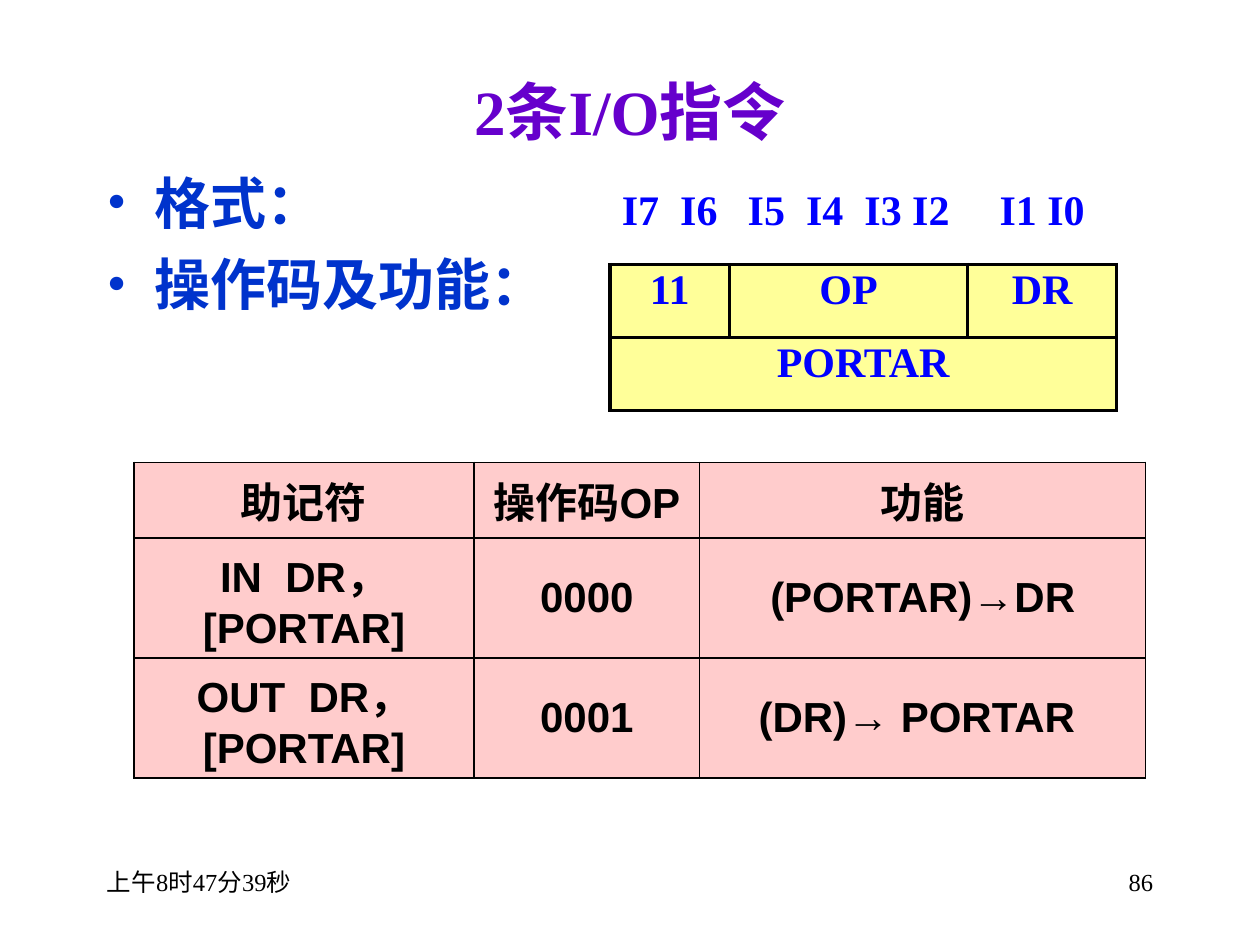
from lxml import etree
from pptx import Presentation
from pptx.dml.color import RGBColor
from pptx.enum.text import MSO_ANCHOR, PP_ALIGN
from pptx.oxml.ns import qn
from pptx.util import Pt

LEFT, CENTER, RIGHT = PP_ALIGN.LEFT, PP_ALIGN.CENTER, PP_ALIGN.RIGHT
TOP, MIDDLE = MSO_ANCHOR.TOP, MSO_ANCHOR.MIDDLE

BLACK = RGBColor(0x00, 0x00, 0x00)
PURPLE = RGBColor(0x66, 0x00, 0xCC)
BLUE = RGBColor(0x00, 0x33, 0xCC)
BRIGHT_BLUE = RGBColor(0x00, 0x00, 0xFF)
YELLOW = RGBColor(0xFF, 0xFF, 0x99)
PINK = RGBColor(0xFF, 0xCC, 0xCC)

SERIF, SANS = "Times New Roman", "Arial"
HANGING = 27


class SlideBuilder:
    def __init__(self, slide):
        self.slide = slide

    def format(self, paragraph, size, color, font=SERIF, bold=True, align=LEFT):
        paragraph.alignment = align
        for run in paragraph.runs:
            run.font.size = Pt(size)
            run.font.name = font
            run.font.bold = bold
            run.font.color.rgb = color

    def hang(self, paragraph, bullet=None):
        """Give a hanging indent, with a bullet if one is named."""
        properties = paragraph._p.get_or_add_pPr()
        properties.set("marL", str(Pt(HANGING)))
        properties.set("indent", str(Pt(-HANGING)))
        if bullet:
            etree.SubElement(properties, qn("a:buFont"), typeface=SERIF)
            etree.SubElement(properties, qn("a:buChar"), char=bullet)

    def text(self, box, lines, size, color, bold=True, align=LEFT,
             anchor=TOP, bullet=None):
        frame = self.slide.shapes.add_textbox(*map(Pt, box)).text_frame
        frame.word_wrap = True
        frame.vertical_anchor = anchor
        frame.text = "\n".join(lines)
        for index, paragraph in enumerate(frame.paragraphs):
            if bullet:
                self.hang(paragraph, bullet)
                paragraph.line_spacing = 0.8
                paragraph.space_after = Pt(0.2 * size)
                if index:
                    paragraph.space_before = Pt(0.3 * size)
            self.format(paragraph, size, color, bold=bold, align=align)

    def table(self, left, top, widths, heights):
        table = self.slide.shapes.add_table(
            len(heights), len(widths), Pt(left), Pt(top),
            Pt(sum(widths)), Pt(sum(heights))).table
        table.first_row = table.horz_banding = False
        for column, width in zip(table.columns, widths):
            column.width = Pt(width)
        for row, height in zip(table.rows, heights):
            row.height = Pt(height)
        return table

    def cell(self, cell, text, color, font, fill, border, sides="LRTB",
             anchor=TOP, inset=None, hanging=False):
        """Fill a cell; only the named sides get a visible border."""
        cell.text = text
        cell.vertical_anchor = anchor
        if inset is not None:
            cell.margin_left = cell.margin_right = Pt(inset)
            cell.margin_top = cell.margin_bottom = Pt(inset)
        paragraph = cell.text_frame.paragraphs[0]
        if hanging:
            self.hang(paragraph)
        self.format(paragraph, 24, color, font, align=CENTER)
        if fill is None:
            cell.fill.background()
        else:
            cell.fill.solid()
            cell.fill.fore_color.rgb = fill
        properties = cell._tc.get_or_add_tcPr()
        for position, side in enumerate("LRTB"):
            line = etree.Element(qn("a:ln" + side), w=str(Pt(border)))
            if side in sides:
                paint = etree.SubElement(line, qn("a:solidFill"))
                etree.SubElement(paint, qn("a:srgbClr"), val=str(BLACK))
            else:
                etree.SubElement(line, qn("a:noFill"))
            properties.insert(position, line)


def add_format_table(builder):
    rows = [["I7  I6", "I5  I4  I3 I2", "I1 I0"],
            ["11", "OP", "DR"],
            ["PORTAR", "", ""]]
    table = builder.table(348.5, 105.8, [68.4, 136.1, 85], [45.4, 41.8, 41.8])
    table.cell(2, 0).merge(table.cell(2, 2))
    for r, row in enumerate(rows):
        for c, text in enumerate(row):
            builder.cell(table.cell(r, c), text, BRIGHT_BLUE, SERIF,
                         fill=YELLOW if r else None, border=2.25,
                         sides="LRTB" if r else "B", inset=1.44)


def add_instruction_table(builder):
    rows = [["助记符", "操作码OP", "功能"],
            ["IN  DR，[PORTAR]", "0000", "(PORTAR)→DR"],
            ["OUT  DR，[PORTAR]", "0001", "(DR)→ PORTAR "]]
    table = builder.table(76.5, 264.2, [194.4, 128.9, 254.9], [43.2, 68.6, 68.6])
    for r, row in enumerate(rows):
        for c, text in enumerate(row):
            builder.cell(table.cell(r, c), text, BLACK, SANS, fill=PINK,
                         border=1, anchor=MIDDLE, hanging=r == 0 or c > 0)


def main():
    deck = Presentation()
    deck.slide_width, deck.slide_height = Pt(720), Pt(540)
    builder = SlideBuilder(deck.slides.add_slide(deck.slide_layouts[6]))
    builder.text((54, 37.4, 612, 51.8), ["2条I/O指令"], 36, PURPLE,
                 align=CENTER, anchor=MIDDLE)
    builder.text((54, 100, 266.4, 90.7), ["格式：", "操作码及功能："], 32, BLUE,
                 bullet="•")
    add_format_table(builder)
    add_instruction_table(builder)
    builder.text((54, 491.8, 149.8, 36), ["上午8时47分39秒"], 14, BLACK, bold=False)
    builder.text((516.2, 491.8, 149.8, 36), ["86"], 14, BLACK, bold=False,
                 align=RIGHT)
    deck.save("out.pptx")


if __name__ == "__main__":
    main()
